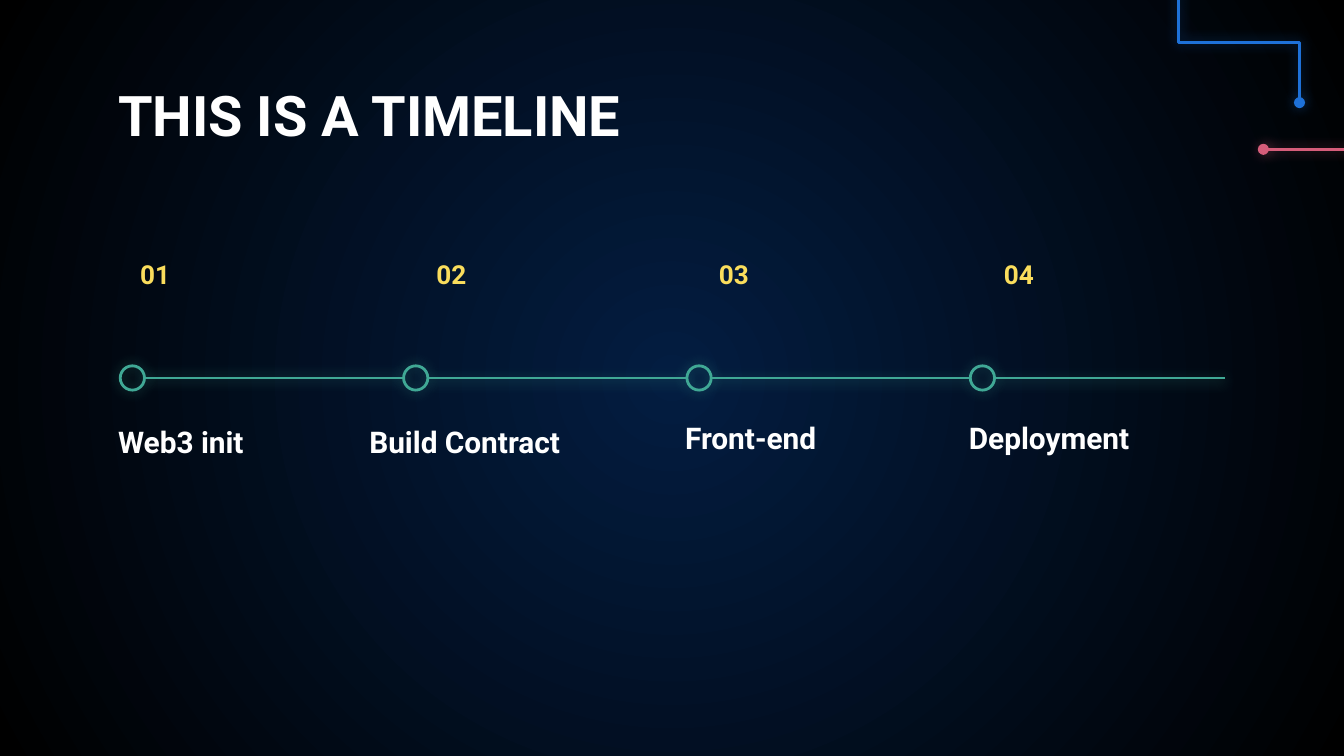
from pptx import Presentation
from pptx.dml.color import RGBColor
from pptx.enum.shapes import MSO_CONNECTOR, MSO_SHAPE
from pptx.enum.text import MSO_ANCHOR, PP_ALIGN
from pptx.oxml import parse_xml
from pptx.oxml.ns import nsdecls, qn
from pptx.util import Pt

STRAIGHT, ELBOW = MSO_CONNECTOR.STRAIGHT, MSO_CONNECTOR.ELBOW
OVAL = MSO_SHAPE.OVAL
TOP, MIDDLE = MSO_ANCHOR.TOP, MSO_ANCHOR.MIDDLE
LEFT, CENTER = PP_ALIGN.LEFT, PP_ALIGN.CENTER

NAVY = RGBColor(0x03, 0x1D, 0x41)
BLACK = RGBColor(0, 0, 0)
WHITE = RGBColor(0xFF, 0xFF, 0xFF)
YELLOW = RGBColor(0xFA, 0xDD, 0x5C)
GREEN = RGBColor(0x40, 0xA8, 0x95)
BLUE = RGBColor(0x1E, 0x71, 0xD8)
PINK = RGBColor(0xD5, 0x5D, 0x7A)

prs = Presentation()
prs.slide_width, prs.slide_height = Pt(720), Pt(405)
slide = prs.slides.add_slide(prs.slide_layouts[6])
shapes = slide.shapes


def text(words, x, y, w, h, size=16, color=WHITE, align=LEFT,
         anchor=MIDDLE, pad=7.2):
    box = shapes.add_textbox(Pt(x), Pt(y), Pt(w), Pt(h))
    frame = box.text_frame
    frame.word_wrap = True
    frame.vertical_anchor = anchor
    frame.margin_left = frame.margin_right = Pt(7.2)
    frame.margin_top = frame.margin_bottom = Pt(pad)
    para = frame.paragraphs[0]
    para.alignment = align
    run = para.add_run()
    run.text = words
    font = run.font
    font.name, font.size, font.bold = "Roboto", Pt(size), True
    font.color.rgb = color


def glow(shape, color, dist=0, angle=0, ends=False):
    """Draw the line of a shape, with a soft glow and optional round ends."""
    shape.line.color.rgb = color
    shape.line.width = Pt(1.5)
    props = shape._element.spPr
    if ends:
        line = props.find(qn("a:ln"))
        for tag in ("headEnd", "tailEnd"):
            line.append(parse_xml(f'<a:{tag} {nsdecls("a")} type="oval"/>'))
    props.append(parse_xml(
        f'<a:effectLst {nsdecls("a")}><a:outerShdw blurRad="{Pt(6.8)}" '
        f'dist="{Pt(dist)}" dir="{angle * 60000}" algn="ctr" '
        f'rotWithShape="0"><a:srgbClr val="{color}"><a:alpha val="50000"/>'
        '</a:srgbClr></a:outerShdw></a:effectLst>'))


# Background: radial gradient from the centre
fill = slide.background.fill
fill.gradient()
for stop, color, place in zip(fill.gradient_stops, (NAVY, BLACK), (0, 1)):
    stop.color.rgb = color
    stop.position = place
grad = slide._element.find(".//" + qn("a:gradFill"))
grad.replace(grad.find(qn("a:lin")), parse_xml(
    f'<a:path {nsdecls("a")} path="circle"><a:fillToRect l="50000" '
    't="50000" r="50000" b="50000"/></a:path>'))

# Corner lines; the elbow is turned to leave the top edge vertically
bend = shapes.add_connector(ELBOW, Pt(631.4), Pt(-9.8), Pt(696.2), Pt(55))
frame = bend._element.spPr.find(qn("a:xfrm"))
frame.set("rot", str(270 * 60000))
frame.set("flipH", "1")
glow(bend, BLUE, ends=True)
bar = shapes.add_connector(STRAIGHT, Pt(676.8), Pt(80), Pt(784.8), Pt(80))
glow(bar, PINK, dist=1.5, ends=True)

# Title
text("THIS IS A TIMELINE", 56.2, 42.5, 607.7, 37.4, size=30)

# Timeline: number x and width, then label, its x and y
STEPS = [
    (64.8, 36.7, "Web3 init", 56.2, 223.4),
    (216.7, 50.4, "Build Contract", 190.8, 223.4),
    (368.6, 49, "Front-end", 360, 221.2),
    (520.6, 50.4, "Deployment", 512, 221.2),
]
START, PITCH, DOT, AXIS, END = 64.4, 151.8, 13, 202.5, 656.4

for i, (num_x, num_w, label, label_x, label_y) in enumerate(STEPS):
    x = START + i * PITCH
    stop_x = min(x + PITCH, END)
    link = shapes.add_connector(STRAIGHT, Pt(x + DOT), Pt(AXIS),
                                Pt(stop_x), Pt(AXIS))
    glow(link, GREEN, dist=1.5 if i else 0, angle=90 if i else 0)
    dot = shapes.add_shape(OVAL, Pt(x), Pt(AXIS - DOT / 2), Pt(DOT), Pt(DOT))
    dot.fill.background()
    glow(dot, GREEN)
    text(f"{i + 1:02}", num_x, 134.8, num_w, 23, size=14, color=YELLOW,
         align=CENTER, anchor=TOP, pad=3.6)
    text(label, label_x, label_y, 152, 26)

prs.save("out.pptx")
